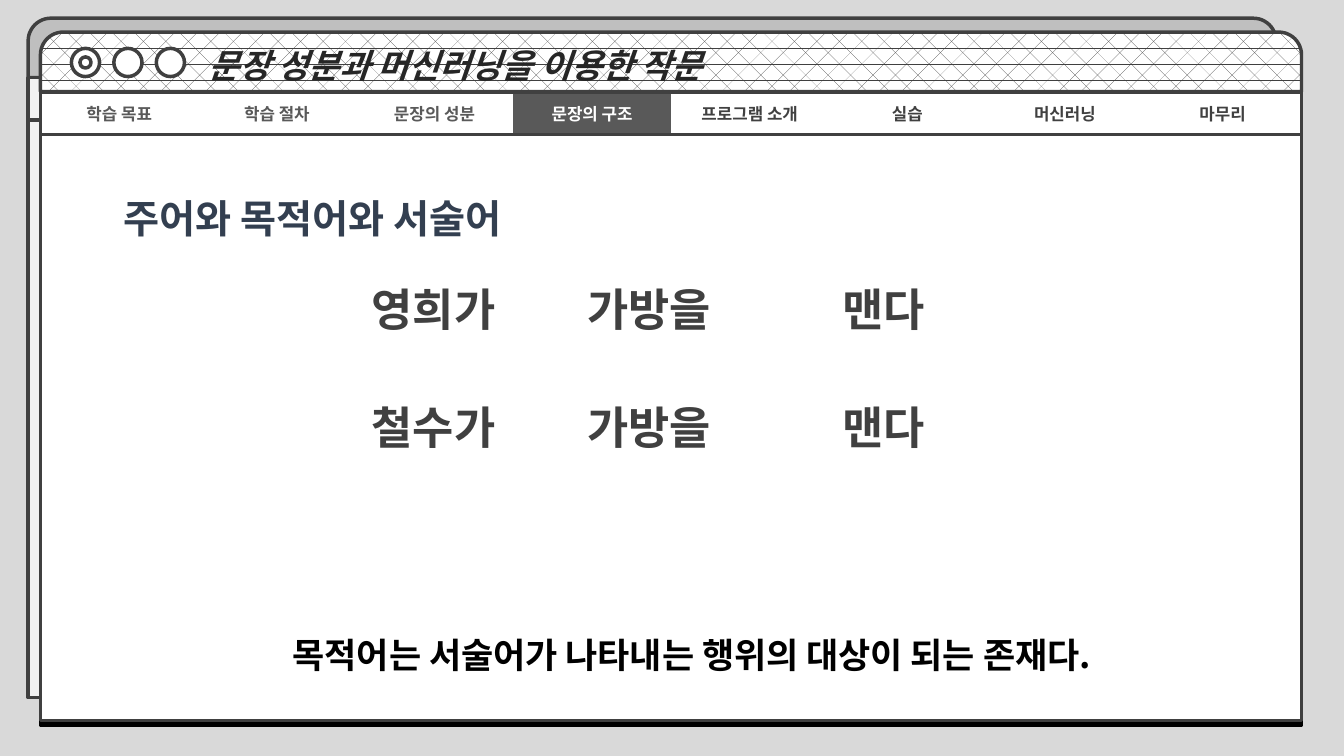
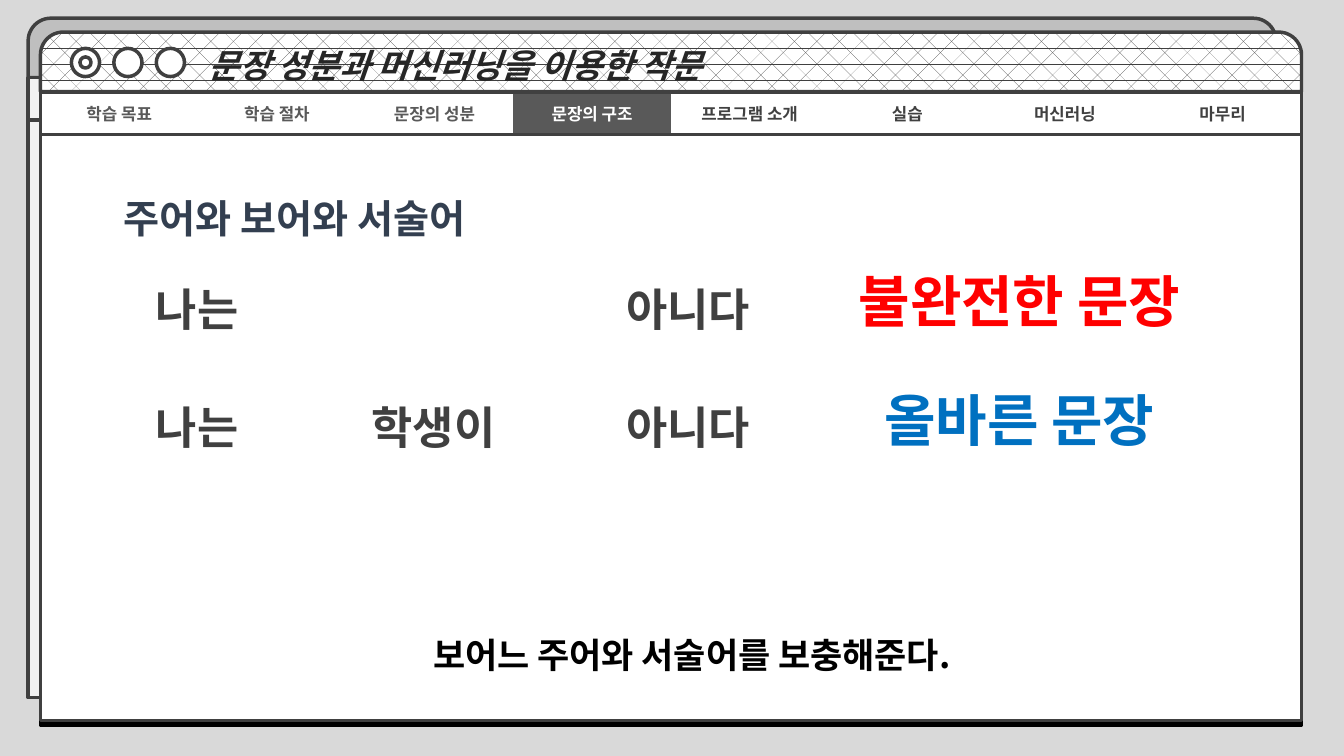
import dataclasses

import lxml.etree
import pptx
import pptx.dml.color
import pptx.enum.dml
import pptx.enum.shapes
import pptx.enum.text
import pptx.oxml.ns
import pptx.util

Cm = pptx.util.Cm
Pt = pptx.util.Pt
qn = pptx.oxml.ns.qn
Shape = pptx.enum.shapes.MSO_SHAPE
Pattern = pptx.enum.dml.MSO_PATTERN
Align = pptx.enum.text.PP_ALIGN
Anchor = pptx.enum.text.MSO_ANCHOR
AutoSize = pptx.enum.text.MSO_AUTO_SIZE


@dataclasses.dataclass(frozen=True)
class Theme:
    font: str = "Noto Sans CJK KR"
    background: str = "D9D9D9"
    back_bar: str = "BFBFBF"
    back_panel: str = "F2F2F2"
    white: str = "FFFFFF"
    black: str = "000000"
    ink: str = "404040"
    hatch: str = "808080"
    course: str = "262626"
    heading: str = "333F50"
    tab: str = "595959"
    wrong: str = "FF0000"
    right: str = "0070C0"
    course_size: int = 24
    tab_size: int = 12
    heading_size: int = 28
    word_size: int = 32
    note_size: int = 25
    verdict_size: int = 40
    line_width: float = 2.5
    tab_line_width: float = 2.25
    outline_width: float = 0.75


THEME = Theme()
COURSE = "문장 성분과 머신러닝을 이용한 작문"
TABS = ["학습 목표", "학습 절차", "문장의 성분", "문장의 구조",
        "프로그램 소개", "실습", "머신러닝", "마무리"]
ACTIVE_TAB = 3
NO_TABLE_STYLE = "{2D5ABB26-0587-4C30-8999-92F81FD0307C}"
WINDOW_LEFT, WINDOW_WIDTH = 1.02, 31.78
ROW_TOPS = [6.98, 9.96]
VERDICT_RISE = 0.38

SLIDES = [
    {
        "heading": "주어와 목적어와 서술어",
        "columns": [9.12, 14.55, 20.98],
        "rows": [["영희가", "가방을", "맨다"], ["철수가", "가방을", "맨다"]],
        "verdicts": [],
        "note": "목적어는 서술어가 나타내는 행위의 대상이 되는 존재다.",
    },
    {
        "heading": "주어와 보어와 서술어",
        "columns": [3.68, 9.12, 15.54],
        "rows": [["나는", "", "아니다"], ["나는", "학생이", "아니다"]],
        "verdicts": [("불완전한 문장", THEME.wrong), ("올바른 문장", THEME.right)],
        "note": "보어느 주어와 서술어를 보충해준다.",
    },
]


def apply_format(target, values):
    for name, value in values.items():
        setattr(target, name, value)


def rgb(color):
    return pptx.dml.color.RGBColor.from_string(color)


def box(left, top, width, height):
    return [Cm(value) for value in (left, top, width, height)]


def fill_solid(fill, color):
    fill.solid()
    fill.fore_color.rgb = rgb(color)


def fill_pattern(fill, pattern, foreground, background):
    fill.patterned()
    fill.pattern = pattern
    fill.fore_color.rgb = rgb(foreground)
    fill.back_color.rgb = rgb(background)


def add_line(parent, tag, width, color):
    line = lxml.etree.SubElement(parent, qn(tag), w=str(Pt(width)))
    solid = lxml.etree.SubElement(line, qn("a:solidFill"))
    lxml.etree.SubElement(solid, qn("a:srgbClr"), val=color)
    return line


def write(frame, text, size, color=None, outlined=False, italic=False,
          frame_format=None, paragraph_format=None):
    apply_format(frame, frame_format or {})
    paragraph = frame.paragraphs[0]
    apply_format(paragraph, paragraph_format or {})
    run = paragraph.add_run()
    run.text = text
    apply_format(run.font, {"name": THEME.font, "size": Pt(size),
                            "bold": True, "italic": italic})
    if color:
        fill_solid(run.font.fill, color)
    else:
        fill_pattern(run.font.fill, Pattern.DARK_UPWARD_DIAGONAL,
                     THEME.hatch, THEME.ink)
    properties = run._r.get_or_add_rPr()
    lxml.etree.SubElement(properties, qn("a:ea"), typeface=THEME.font)
    if outlined:
        outline = add_line(properties, "a:ln", THEME.outline_width, THEME.white)
        properties.insert(0, outline)
    return paragraph


def add_text(slide, place, text, size, wrap=True, paragraph_format=None, **style):
    text_box = slide.shapes.add_textbox(*box(*place))
    frame_format = {"word_wrap": wrap, "auto_size": AutoSize.SHAPE_TO_FIT_TEXT}
    write(text_box.text_frame, text, size, frame_format=frame_format,
          paragraph_format=paragraph_format, **style)


def add_panel(shapes, kind, place, color):
    panel = shapes.add_shape(kind, *box(*place))
    panel.shadow.inherit = False
    fill_solid(panel.fill, color)
    panel.line.color.rgb = rgb(THEME.ink)
    panel.line.width = Pt(THEME.line_width)
    if kind == Shape.ROUND_2_SAME_RECTANGLE:
        panel.adjustments[0] = 0.381
    return panel


def add_hard_shadow(panel):
    effects = panel._element.spPr.find(qn("a:effectLst"))
    shadow = lxml.etree.SubElement(
        effects, qn("a:outerShdw"), blurRad="0", dist=str(Pt(3)),
        dir="5400000", algn="t", rotWithShape="0")
    lxml.etree.SubElement(shadow, qn("a:srgbClr"), val=THEME.black)


def add_back_window(slide):
    group = slide.shapes.add_group_shape()
    left, width = 0.71, 31.45
    add_panel(group.shapes, Shape.ROUND_2_SAME_RECTANGLE,
              (left, 0.46, width, 1.5), THEME.back_bar)
    for top, height in [(3.03, 14.55), (1.96, 1.07)]:
        add_panel(group.shapes, Shape.RECTANGLE,
                  (left, top, width, height), THEME.back_panel)


def add_front_window(slide):
    bar = add_panel(slide.shapes, Shape.ROUND_2_SAME_RECTANGLE,
                    (WINDOW_LEFT, 0.81, WINDOW_WIDTH, 1.5), THEME.white)
    fill_pattern(bar.fill, Pattern.DIVOT, THEME.ink, THEME.white)
    paragraph = write(bar.text_frame, COURSE, THEME.course_size, THEME.course,
                      italic=True,
                      frame_format={"vertical_anchor": Anchor.MIDDLE},
                      paragraph_format={"alignment": Align.LEFT, "level": 3})
    properties = paragraph._p.get_or_add_pPr()
    properties.set("marL", str(Cm(3.81)))
    properties.set("indent", "0")
    body = add_panel(slide.shapes, Shape.RECTANGLE,
                     (WINDOW_LEFT, 3.35, WINDOW_WIDTH, 14.81), THEME.white)
    add_hard_shadow(body)


def add_buttons(slide):
    left, top, size, step, dot = 1.8, 1.22, 0.71, 1.07, 0.28
    inset = (size - dot) / 2
    circles = [(left + step * index, top, size, size) for index in range(3)]
    circles.append((left + inset, top + inset, dot, dot))
    for circle in circles:
        add_panel(slide.shapes, Shape.OVAL, circle, THEME.white)


def tab_color(index):
    if index == ACTIVE_TAB:
        return THEME.white
    return THEME.tab if index < ACTIVE_TAB else THEME.ink


def add_tabs(slide):
    frame = slide.shapes.add_table(
        1, len(TABS), *box(WINDOW_LEFT, 2.34, WINDOW_WIDTH, 1.04))
    table = frame.table
    apply_format(table, {"first_row": False, "horz_banding": False})
    table._tbl.tblPr.find(qn("a:tableStyleId")).text = NO_TABLE_STYLE
    for index, label in enumerate(TABS):
        cell = table.cell(0, index)
        cell.vertical_anchor = Anchor.MIDDLE
        write(cell.text_frame, label, THEME.tab_size, tab_color(index),
              paragraph_format={"alignment": Align.CENTER})
        edges = ["a:lnT", "a:lnB"]
        if index == 0:
            edges.insert(0, "a:lnL")
        if index == len(TABS) - 1:
            edges.insert(0, "a:lnR")
        for edge in edges:
            add_line(cell._tc.get_or_add_tcPr(), edge,
                     THEME.tab_line_width, THEME.ink)
        fill_solid(cell.fill, THEME.tab if index == ACTIVE_TAB else THEME.white)


def set_heading(slide, text):
    title = slide.shapes.title
    left, top, width, height = box(2.87, 4.17, 11.46, 2.06)
    apply_format(title, {"left": left, "top": top, "width": width, "height": height})
    write(title.text_frame, text, THEME.heading_size, THEME.heading,
          frame_format={"word_wrap": True, "vertical_anchor": Anchor.TOP,
                        "auto_size": AutoSize.SHAPE_TO_FIT_TEXT},
          paragraph_format={"alignment": Align.LEFT, "line_spacing": 1.5})
    title._element.getparent().append(title._element)


def add_sentences(slide, columns, rows):
    for top, words in zip(ROW_TOPS, rows):
        for left, word in zip(columns, words):
            if word:
                add_text(slide, (left, top, 3.99, 1.63), word, THEME.word_size)


def add_verdicts(slide, verdicts):
    for top, (text, color) in zip(ROW_TOPS, verdicts):
        add_text(slide, (20.9, top - VERDICT_RISE, 9.58, 1.96), text,
                 THEME.verdict_size, wrap=False, color=color, outlined=True,
                 paragraph_format={"alignment": Align.CENTER})


def add_note(slide, text):
    add_text(slide, (4.62, 14.78, 25.63, 2.06), text, THEME.note_size,
             color=THEME.black, outlined=True,
             paragraph_format={"alignment": Align.CENTER, "line_spacing": 2.0})


def add_lesson(presentation, content):
    slide = presentation.slides.add_slide(presentation.slide_layouts[5])
    fill_solid(slide.background.fill, THEME.background)
    add_back_window(slide)
    add_front_window(slide)
    add_buttons(slide)
    add_tabs(slide)
    set_heading(slide, content["heading"])
    add_sentences(slide, content["columns"], content["rows"])
    add_verdicts(slide, content["verdicts"])
    add_note(slide, content["note"])


def main():
    presentation = pptx.Presentation()
    apply_format(presentation, {"slide_width": Cm(33.87), "slide_height": Cm(19.05)})
    for content in SLIDES:
        add_lesson(presentation, content)
    presentation.save("out.pptx")


if __name__ == "__main__":
    main()
